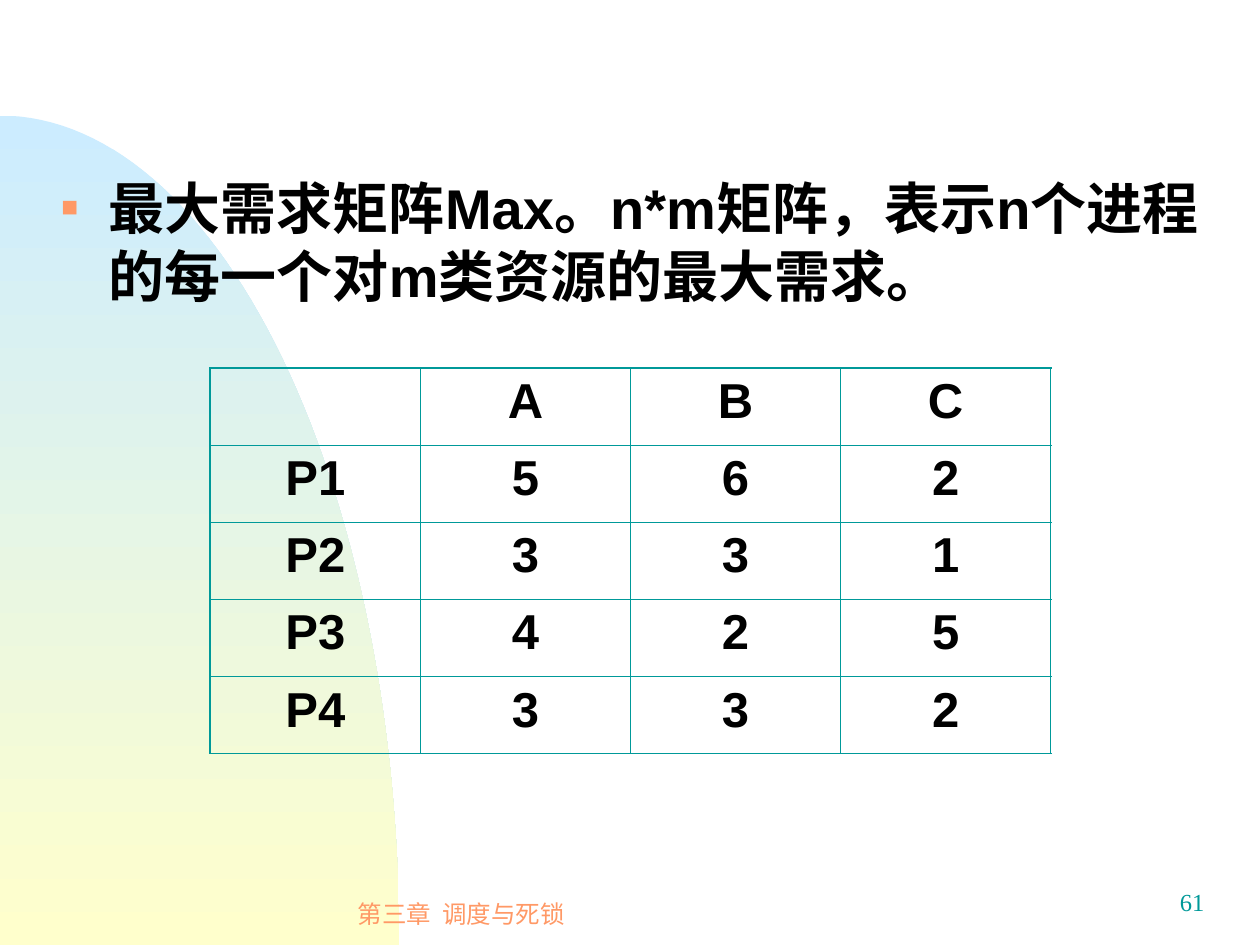
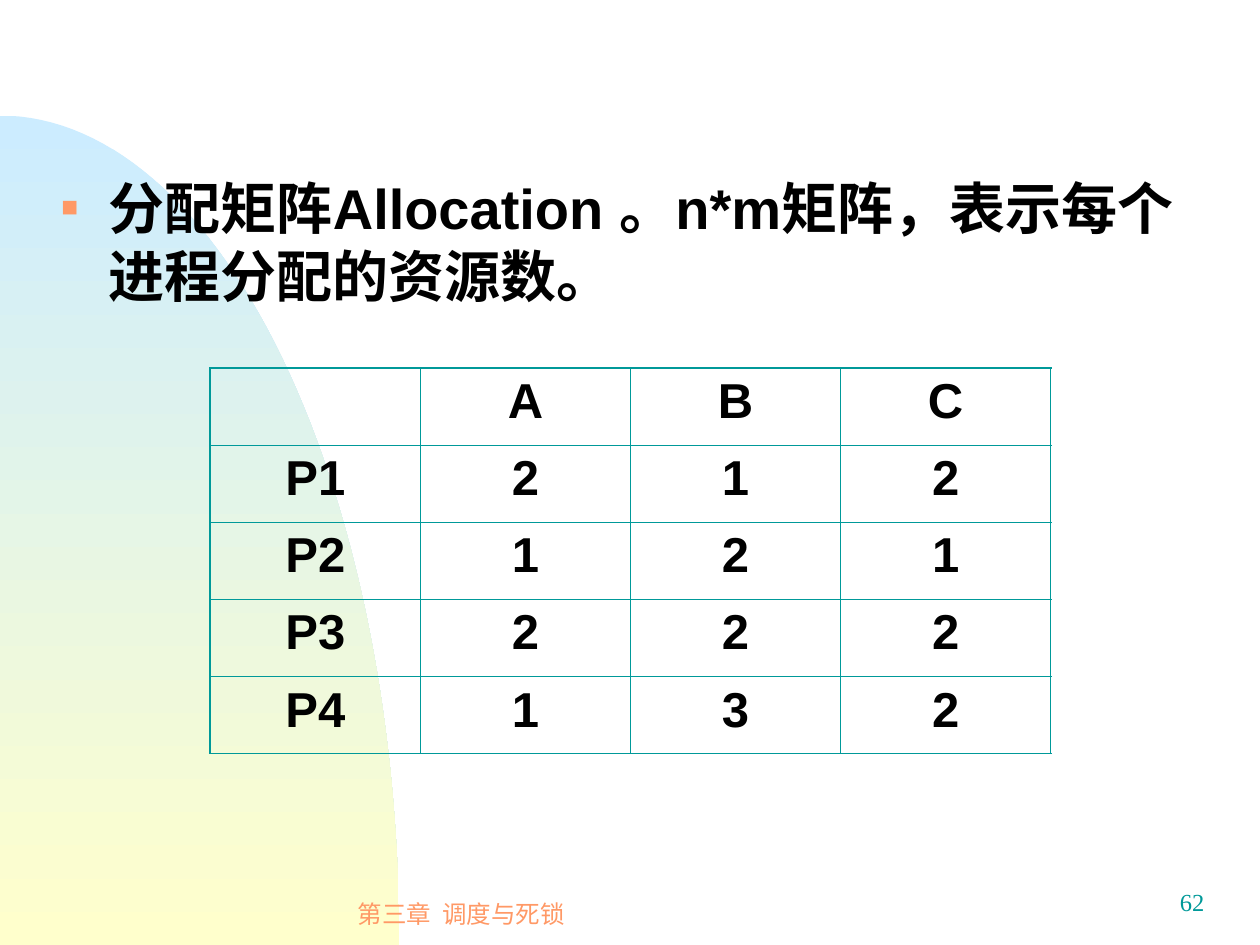
import math

from lxml import etree
from pptx import Presentation
from pptx import util as u
from pptx.dml.color import RGBColor
from pptx.enum import text
from pptx.oxml import ns

COLORS = {
    "sky": "CCECFF",
    "cream": "FFFFCC",
    "teal": "009999",
    "orange": "FF9966",
    "black": "000000",
}
SANS = "Arial"
SERIF = "Times New Roman"
ALIGN = text.PP_ALIGN
CHAPTER = "第三章  调度与死锁"
RESOURCES = ["A", "B", "C"]
MATRICES = [
    (61, "最大需求矩阵Max。n*m矩阵，表示n个进程的每一个对m类资源的最大需求。",
     [(5, 6, 2), (3, 3, 1), (4, 2, 5), (3, 3, 2)]),
    (62, "分配矩阵Allocation 。n*m矩阵，表示每个进程分配的资源数。",
     [(2, 1, 2), (1, 2, 1), (2, 2, 2), (1, 3, 2)]),
]


def add_element(parent, tag, **attributes):
    return etree.SubElement(parent, ns.qn(tag), attributes)


class MatrixDeck:
    def __init__(self):
        self.deck = Presentation()
        self.deck.slide_width = u.Cm(25.4)
        self.deck.slide_height = u.Cm(19.05)
        self.page = None

    def new_page(self):
        self.page = self.deck.slides.add_slide(self.deck.slide_layouts[6])

    def add_span(self, para, content, size, color, font=SANS, bold=False):
        span = para.add_run()
        span.text = content
        span.font.name = font
        span.font.size = u.Pt(size)
        span.font.bold = bold
        span.font.color.rgb = RGBColor.from_string(COLORS[color])

    def add_hill(self, width=8.05, height=16.72, steps=60):
        bottom = self.deck.slide_height
        angles = [math.pi / 2 * step / steps for step in range(steps + 1)]
        arc = [(u.Cm(width * math.sin(angle)),
                bottom - u.Cm(height * math.cos(angle))) for angle in angles]
        builder = self.page.shapes.build_freeform(*arc[0])
        builder.add_line_segments(arc[1:] + [(0, bottom)], close=True)
        hill = builder.convert_to_shape()
        hill.shadow.inherit = False
        hill.line.fill.background()
        hill.fill.gradient()
        hill.fill.gradient_angle = 270
        for stop, color in zip(hill.fill.gradient_stops, ("sky", "cream")):
            stop.color.rgb = RGBColor.from_string(COLORS[color])

    def add_text(self, left, top, width, height, content, size, color,
                 align=ALIGN.LEFT, wrap=True, anchor=text.MSO_ANCHOR.TOP, **style):
        box = self.page.shapes.add_textbox(*map(u.Cm, (left, top, width, height)))
        frame = box.text_frame
        frame.word_wrap = wrap
        frame.vertical_anchor = anchor
        para = frame.paragraphs[0]
        para.alignment = align
        self.add_span(para, content, size, color, **style)
        return para

    def add_definition(self, content):
        para = self.add_text(0.99, 3.38, 23.77, 14.17, content, 32, "black", bold=True)
        props = para._p.get_or_add_pPr()
        indent = u.Cm(0.95)
        props.set("marL", str(indent))
        props.set("indent", str(-indent))
        add_element(add_element(props, "a:buClr"), "a:srgbClr", val=COLORS["orange"])
        add_element(props, "a:buSzPct", val="50000")
        add_element(props, "a:buFont", typeface=SANS)
        add_element(props, "a:buChar", char="■")

    def add_footer(self, number):
        self.add_text(5.28, 17.78, 8.05, 1.27, CHAPTER, 14, "orange",
                      ALIGN.CENTER, wrap=False, anchor=text.MSO_ANCHOR.MIDDLE)
        self.add_text(19.25, 17.75, 5.28, 1.27, str(number), 14, "teal",
                      ALIGN.RIGHT, font=SERIF)

    def set_borders(self, cell, outer_sides):
        props = cell._tc.get_or_add_tcPr()
        for side in "LRTB":
            width = u.Pt(1.08 if side in outer_sides else 0.45)
            line = add_element(props, f"a:ln{side}", w=str(width))
            fill = add_element(line, "a:solidFill")
            add_element(fill, "a:srgbClr", val=COLORS["teal"])
        cell.fill.background()

    def add_matrix(self, values):
        rows = [[""] + RESOURCES]
        rows += [[f"P{i}", *map(str, line)] for i, line in enumerate(values, 1)]
        last_row, last_col = len(rows) - 1, len(RESOURCES)
        frame = self.page.shapes.add_table(
            len(rows), last_col + 1, *map(u.Cm, (4.24, 7.42, 16.94, 7.77)))
        table = frame.table
        table.first_row = table.horz_banding = False
        for r, row in enumerate(rows):
            for c, content in enumerate(row):
                cell = table.cell(r, c)
                edges = {"L": c == 0, "R": c == last_col, "T": r == 0, "B": r == last_row}
                self.set_borders(cell, [side for side, outer in edges.items() if outer])
                if content:
                    para = cell.text_frame.paragraphs[0]
                    para.alignment = ALIGN.CENTER
                    self.add_span(para, content, 28, "black", bold=True)


def main():
    slides = MatrixDeck()
    for number, definition, values in MATRICES:
        slides.new_page()
        slides.add_hill()
        slides.add_footer(number)
        slides.add_definition(definition)
        slides.add_matrix(values)
    slides.deck.save("out.pptx")


if __name__ == "__main__":
    main()
